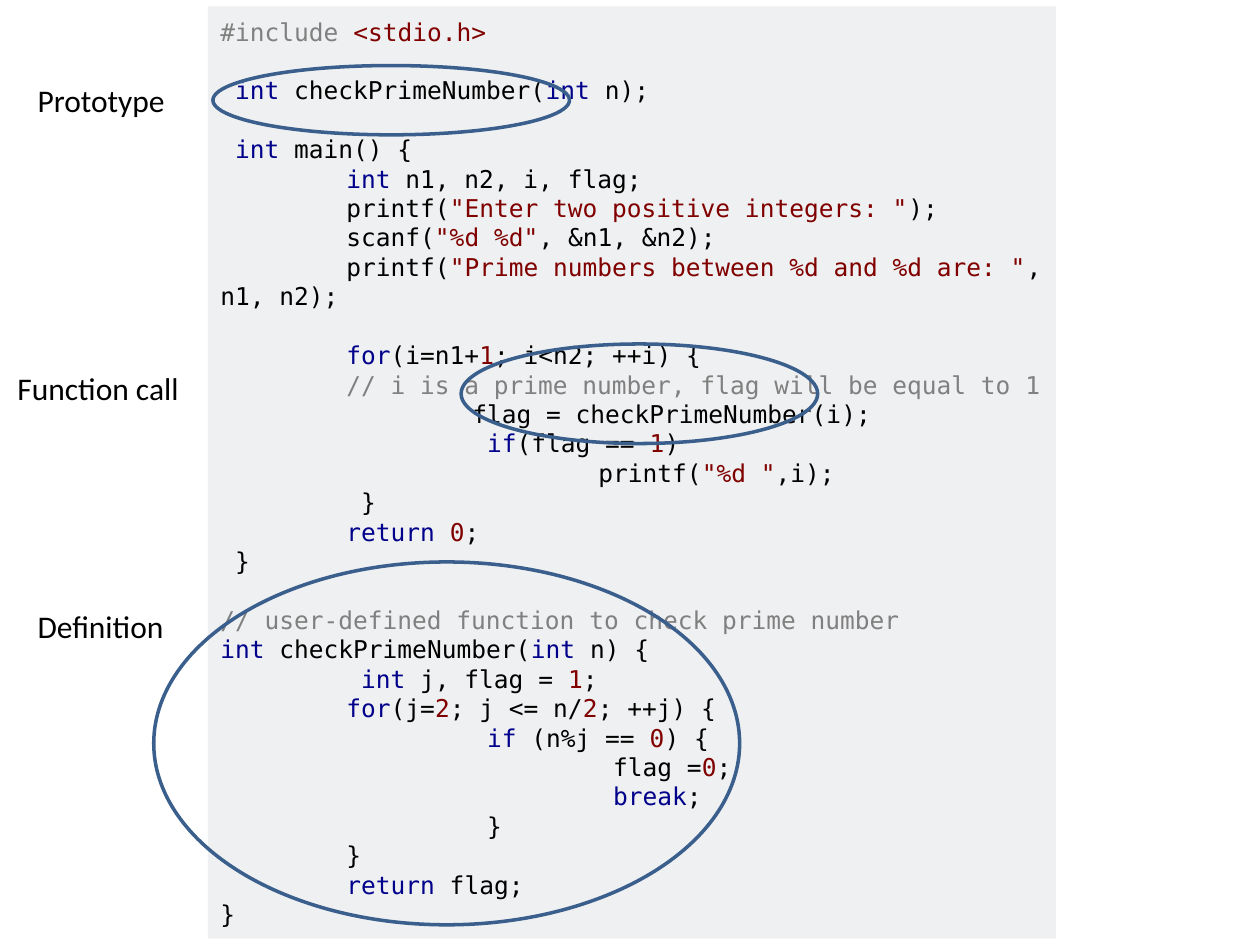
from itertools import groupby

from lxml import etree
from pptx import Presentation, util as u
from pptx.dml.color import RGBColor
from pptx.enum import shapes, text
from pptx.oxml import ns

WIDTH, HEIGHT = 10, 7.5
CODE_FONT, LABEL_FONT = "DejaVu Sans Mono", "Calibri"
LINE_HEIGHT = 16.82
TAB_STOPS = (1, 2, 3)
COLORS = {
    "panel": "EFF0F1",
    "ring": "3A5F8C",
    "plain": "000000",
    "keyword": "00008B",
    "literal": "800000",
    "comment": "808080",
}

# Each mark opens and closes a coloured stretch of code
MARKS = {"@": "keyword", "$": "literal", "~": "comment"}
CODE = """\
~#include ~$<stdio.h>$

 @int@ checkPrimeNumber(@int@ n);

 @int@ main() {
\t@int@ n1, n2, i, flag;
\tprintf($"Enter two positive integers: "$);
\tscanf($"%d %d"$, &n1, &n2);
\tprintf($"Prime numbers between %d and %d are: "$, n1, n2);

\t@for@(i=n1+$1$; i<n2; ++i) {
\t~// i is a prime number, flag will be equal to 1~
\t\tflag = checkPrimeNumber(i);
\t\t @if@(flag == $1$)
\t\t\tprintf($"%d "$,i);
\t }
\t@return @$0$;
 }

~// user-defined function to check prime number~
@int@ checkPrimeNumber(@int@ n) {
\t @int@ j, flag = $1$;
\t@for@(j=$2$; j <= n/$2$; ++j) {
\t\t @if@ (n%j == $0$) {
\t\t\t flag =$0$;
\t\t\t @break@;
\t\t }
\t}
\t@return@ flag;
}"""

# Label, label box and ring box: left, top, width, height in inches
CALLOUTS = [
    ("Prototype", (0.2, 0.59, 1.26, 0.4), (1.69, 0.52, 2.83, 0.55)),
    ("Function call", (0.04, 2.88, 1.5, 0.4), (3.66, 2.73, 2.83, 0.79)),
    ("Definition", (0.2, 4.77, 1.26, 0.4), (1.22, 4.46, 4.65, 2.88)),
]


def rgb(name):
    return RGBColor.from_string(COLORS[name])


def inches(box):
    return [u.Inches(length) for length in box]


def write(paragraph, words, size=14, font=CODE_FONT, color="plain"):
    run = paragraph.add_run()
    run.text = words
    run.font.size = u.Pt(size)
    run.font.name = font
    run.font.color.rgb = rgb(color)


def set_tabs(paragraph):
    """Place the tab stops; call after the paragraph's spacing is set."""
    stops = etree.SubElement(paragraph._p.get_or_add_pPr(), ns.qn("a:tabLst"))
    for position in inches(TAB_STOPS):
        etree.SubElement(stops, ns.qn("a:tab"), pos=str(int(position)), algn="l")


def split_colors(line):
    """Return (words, colour) pairs for one marked line of code."""
    colored, current = [], "plain"
    for char in line:
        if char in MARKS:
            current = "plain" if current == MARKS[char] else MARKS[char]
        else:
            colored.append((char, current))
    return [("".join(char for char, _ in stretch), color)
            for color, stretch in groupby(colored, key=lambda pair: pair[1])]


def add_code(parent, box):
    panel = parent.add_shape(shapes.MSO_SHAPE.RECTANGLE, *inches(box))
    panel.shadow.inherit = False
    panel.fill.solid()
    panel.fill.fore_color.rgb = rgb("panel")
    panel.line.fill.background()
    frame = panel.text_frame
    frame.word_wrap = True
    frame.vertical_anchor = text.MSO_ANCHOR.MIDDLE

    # A blank source line becomes space above the next paragraph
    paragraph, gap = frame.paragraphs[0], 0
    for number, line in enumerate(CODE.split("\n")):
        if not line:
            gap = LINE_HEIGHT
            continue
        if number:
            paragraph = frame.add_paragraph()
        paragraph.alignment = text.PP_ALIGN.LEFT
        paragraph.line_spacing = u.Pt(LINE_HEIGHT)
        paragraph.space_before = u.Pt(gap)
        set_tabs(paragraph)
        gap = 0
        for words, color in split_colors(line):
            write(paragraph, words, color=color)


def add_ring(parent, box):
    ring = parent.add_shape(shapes.MSO_SHAPE.OVAL, *inches(box))
    ring.shadow.inherit = False
    ring.fill.background()
    ring.line.color.rgb = rgb("ring")
    ring.line.width = u.Pt(2)


def add_label(parent, words, box):
    frame = parent.add_textbox(*inches(box)).text_frame
    frame.word_wrap = True
    write(frame.paragraphs[0], words, size=18, font=LABEL_FONT)


def main():
    deck = Presentation()
    deck.slide_width, deck.slide_height = inches((WIDTH, HEIGHT))
    slide = deck.slides.add_slide(deck.slide_layouts[6])

    # Code listing
    add_code(slide.shapes, (1.65, 0.05, 6.73, 7.4))

    # Labels grouped with the rings they name
    for label, label_box, ring_box in CALLOUTS:
        callout = slide.shapes.add_group_shape().shapes
        add_ring(callout, ring_box)
        add_label(callout, label, label_box)

    deck.save("out.pptx")


main()
